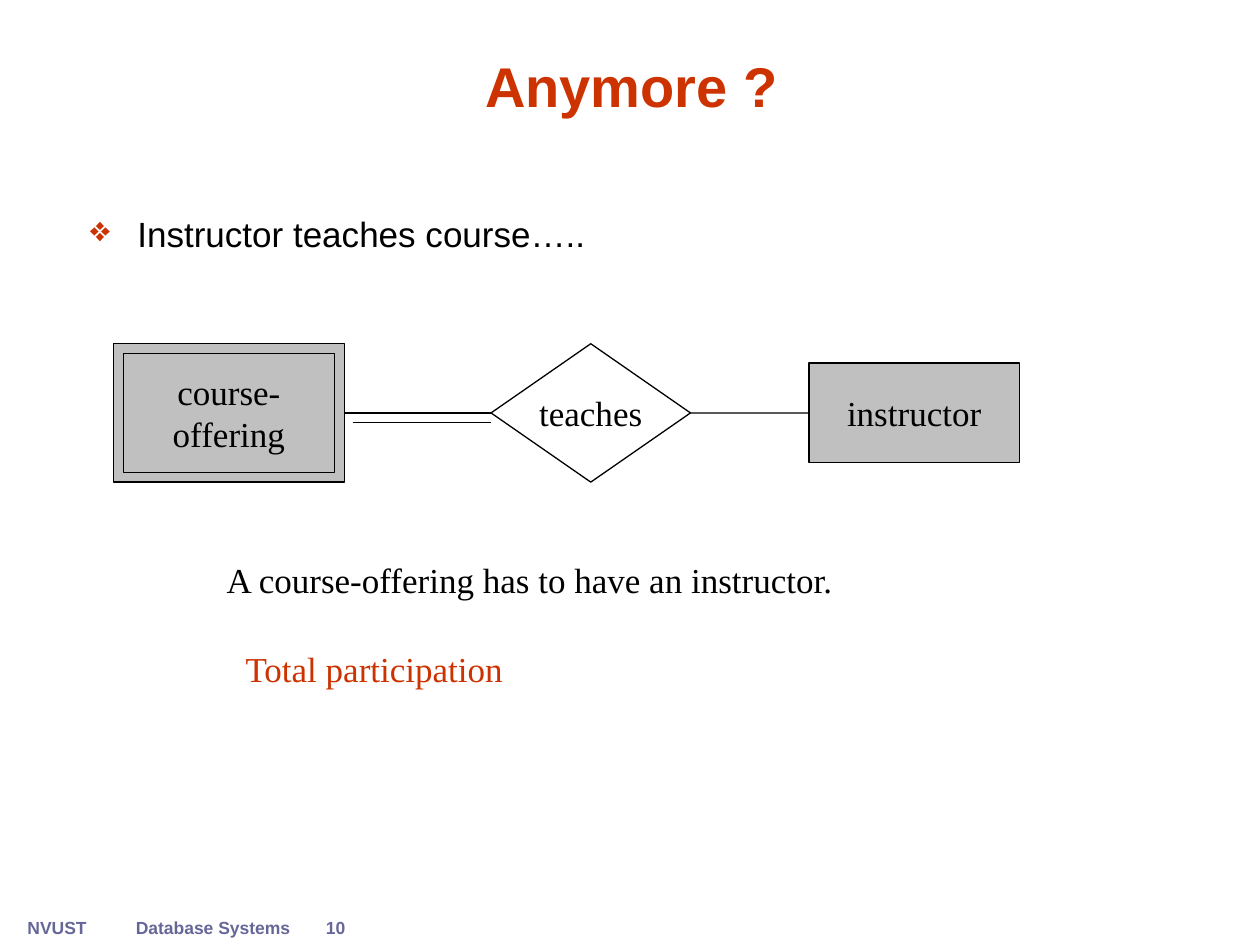
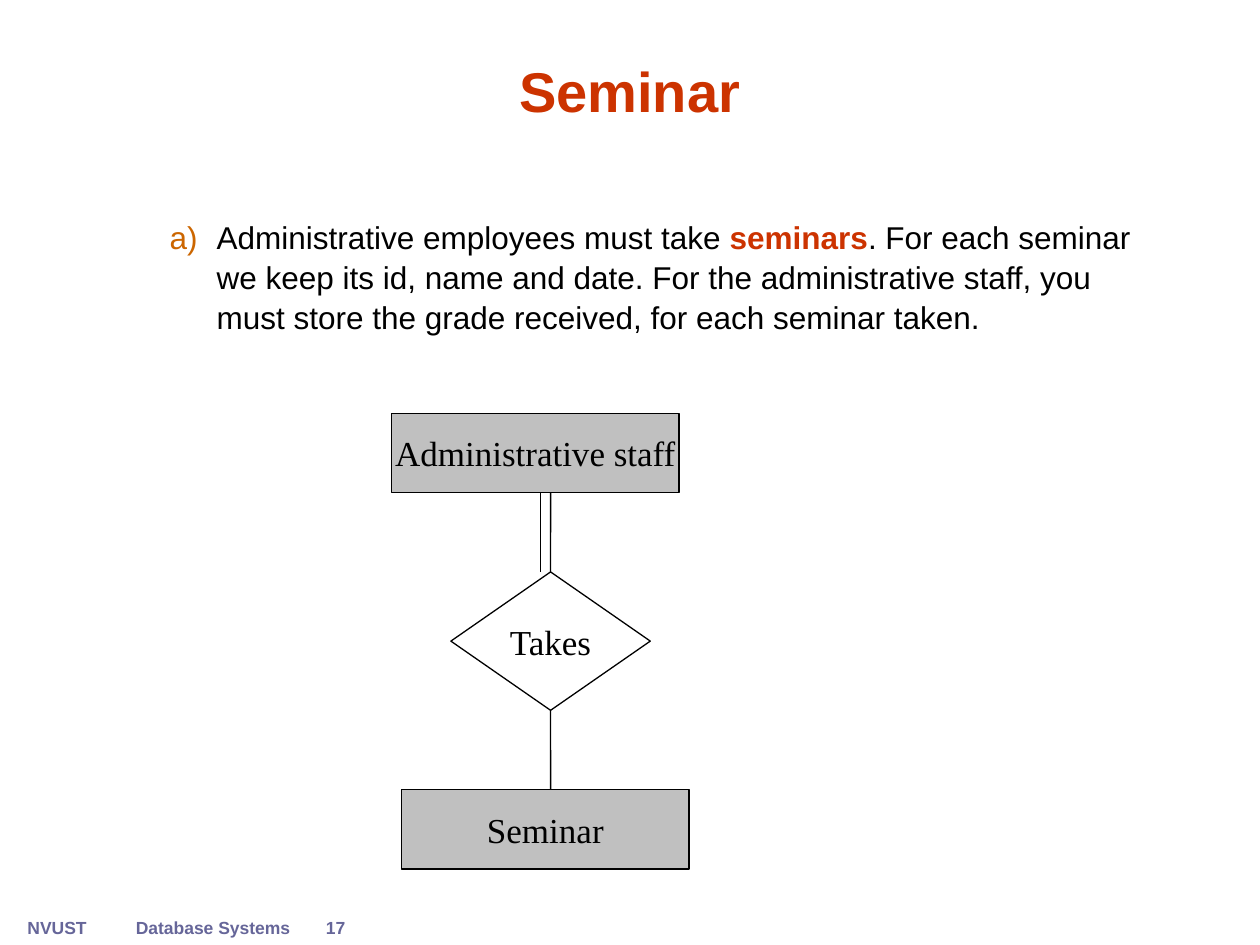
from lxml import etree
from pptx import Presentation
from pptx.dml.color import RGBColor
from pptx.enum import shapes, text
from pptx.oxml import ns
from pptx.util import Cm, Pt

RED = RGBColor(0xCC, 0x33, 0x00)
ORANGE = RGBColor(0xCC, 0x66, 0x00)
SLATE = RGBColor(0x66, 0x66, 0x99)
GREY = RGBColor(0xC0, 0xC0, 0xC0)
BLACK = RGBColor(0, 0, 0)
WHITE = RGBColor(0xFF, 0xFF, 0xFF)
SANS, SERIF = "Arial", "Times New Roman"
LEFT, CENTER = text.PP_ALIGN.LEFT, text.PP_ALIGN.CENTER
RECT = shapes.MSO_SHAPE.RECTANGLE
PROCESS = shapes.MSO_SHAPE.FLOWCHART_PROCESS
DECISION = shapes.MSO_SHAPE.FLOWCHART_DECISION
TOP_SIDE, LEFT_SIDE, BOTTOM_SIDE, RIGHT_SIDE = range(4)

LINE_WIDTH = Pt(0.75)
DIAMOND_W, DIAMOND_H = 4.02, 2.79
LINE_GAP = 0.2  # between the two lines of a total participation


def cm_box(box):
    return [Cm(length) for length in box]


def style_run(run, size, font, color, bold=False):
    run.font.size = Pt(size)
    run.font.name = font
    run.font.color.rgb = color
    run.font.bold = bold


def write(frame, words, size, font, color, bold=False, align=CENTER):
    frame.text = words
    for paragraph in frame.paragraphs:
        paragraph.alignment = align
        for run in paragraph.runs:
            style_run(run, size, font, color, bold)


def add_label(slide, box, words, size, font, color, bold=False, align=CENTER):
    label = slide.shapes.add_textbox(*cm_box(box))
    label.text_frame.word_wrap = False
    write(label.text_frame, words, size, font, color, bold, align)
    return label


def add_node(slide, kind, box, words="", fill=GREY):
    """Add an entity or a relationship of the diagram."""
    node = slide.shapes.add_shape(kind, *cm_box(box))
    node.shadow.inherit = False
    node.fill.solid()
    node.fill.fore_color.rgb = fill
    node.line.color.rgb = BLACK
    node.line.width = LINE_WIDTH
    node.text_frame.word_wrap = False
    node.text_frame.vertical_anchor = text.MSO_ANCHOR.MIDDLE
    if words:
        write(node.text_frame, words, 20, SERIF, BLACK)
    return node


def add_line(slide, x1, y1, x2, y2, begin=None, end=None):
    """Draw a line; begin and end are (node, side) pairs to join."""
    line = slide.shapes.add_connector(
        shapes.MSO_CONNECTOR.STRAIGHT, *cm_box((x1, y1, x2, y2)))
    line.line.color.rgb = BLACK
    line.line.width = LINE_WIDTH
    etree.SubElement(line._element.spPr, ns.qn("a:effectLst"))
    if begin:
        line.begin_connect(*begin)
    if end:
        line.end_connect(*end)


def add_title(slide, box, words):
    title = add_label(slide, box, words, 32, SANS, RED, bold=True)
    title.text_frame.word_wrap = True
    title.text_frame.vertical_anchor = text.MSO_ANCHOR.BOTTOM


def add_footer(slide, number, left=0.3, top=18.36):
    parts = [("NVUST", 0, 1.7, CENTER),
             ("Database Systems", 2.19, 3.61, LEFT),
             (str(number), 5.36, 2.21, CENTER)]
    for words, offset, width, align in parts:
        add_label(slide, (left + offset, top, width, 0.69), words, 10, SANS,
                  SLATE, bold=True, align=align)


def add_bullet(slide, box, pieces, size, indent, color, tag, **mark):
    """Add a bulleted paragraph; pieces are (words, is_key_term) pairs."""
    body = slide.shapes.add_textbox(*cm_box(box))
    body.text_frame.word_wrap = True
    paragraph = body.text_frame.paragraphs[0]
    paragraph.line_spacing = 1.05
    for words, is_key_term in pieces:
        run = paragraph.add_run()
        run.text = words
        style_run(run, size, SANS, RED if is_key_term else BLACK, is_key_term)
    properties = paragraph._p.get_or_add_pPr()
    properties.set("marL", str(Cm(indent)))
    properties.set("indent", str(Cm(-0.95)))
    bullet_color = etree.SubElement(properties, ns.qn("a:buClr"))
    etree.SubElement(bullet_color, ns.qn("a:srgbClr"), val=str(color))
    etree.SubElement(properties, ns.qn(tag), **mark)


def add_teaching_diagram(slide, left, top):
    """Weak entity, relationship and entity in a row."""
    middle = top + DIAMOND_H / 2
    offering_w, entity_w, entity_h, rim = 4.65, 4.24, 2.01, 0.2
    teaches_x, instructor_x = left + 7.61, left + 14.02
    offering = add_node(slide, RECT, (left, top, offering_w, DIAMOND_H))
    instructor = add_node(
        slide, PROCESS,
        (instructor_x, middle - entity_h / 2, entity_w, entity_h), "instructor")
    teaches = add_node(slide, DECISION, (teaches_x, top, DIAMOND_W, DIAMOND_H),
                       "teaches", WHITE)
    add_line(slide, left + offering_w, middle, teaches_x, middle,
             (offering, RIGHT_SIDE), (teaches, LEFT_SIDE))
    add_line(slide, teaches_x + DIAMOND_W, middle, instructor_x, middle,
             (teaches, RIGHT_SIDE), (instructor, LEFT_SIDE))
    add_node(slide, RECT,
             (left + rim, top + rim, offering_w - 2 * rim, DIAMOND_H - 2 * rim),
             "course-\voffering")
    second_y = middle + LINE_GAP
    add_line(slide, left + 4.82, second_y, teaches_x, second_y)


def add_seminar_diagram(slide, left, top):
    """Two entities with the relationship between them, in a column."""
    entity_w, entity_h, gap = 5.79, 1.6, 1.6
    axis = left + 3.2
    staff_bottom = top + entity_h
    takes_top = staff_bottom + gap
    takes_bottom = takes_top + DIAMOND_H
    seminar_top = takes_bottom + gap
    add_node(slide, RECT, (left, top, entity_w, entity_h),
             "Administrative staff")
    takes = add_node(slide, DECISION,
                     (axis - DIAMOND_W / 2, takes_top, DIAMOND_W, DIAMOND_H),
                     "Takes", WHITE)
    add_node(slide, RECT, (left + 0.2, seminar_top, entity_w, entity_h),
             "Seminar")
    second_x = axis - LINE_GAP
    add_line(slide, second_x, staff_bottom, second_x, takes_top)
    add_line(slide, axis, staff_bottom, axis, takes_top, end=(takes, TOP_SIDE))
    add_line(slide, axis, takes_bottom, axis, seminar_top,
             begin=(takes, BOTTOM_SIDE))


def build_teaching_slide(slide):
    add_footer(slide, 10)
    add_title(slide, (1.52, 0.18, 22.43, 2.34), "Anymore ?")
    add_bullet(slide, (1.57, 4.11, 21.8, 12.52),
               [("Instructor teaches course…..", False)],
               20, 0.95, RED, "a:buChar", char="❖")
    add_teaching_diagram(slide, 2.29, 6.93)
    add_label(slide, (4.32, 11.13, 12.98, 1.12),
              "A course-offering has to have an instructor.",
              20, SERIF, BLACK, align=LEFT)
    add_label(slide, (4.7, 12.93, 5.74, 1.12), "Total participation",
              20, SERIF, RED, align=LEFT)


def build_seminar_slide(slide):
    add_footer(slide, 17)
    add_title(slide, (1.9, 0.13, 21.59, 2.49), "Seminar")
    add_bullet(slide, (1.9, 4.24, 21.59, 4.09),
               [("Administrative employees must take ", False),
                ("seminars", True),
                (". For each seminar we keep its id, name and date. For the "
                 "administrative staff, you must store the grade received, "
                 "for each seminar taken.", False)],
               18, 2.22, ORANGE, "a:buAutoNum", type="alphaLcParenR")
    add_seminar_diagram(slide, 7.9, 8.33)


def main():
    deck = Presentation()
    deck.slide_width, deck.slide_height = Cm(25.4), Cm(19.05)
    blank = deck.slide_layouts[6]
    for build in (build_teaching_slide, build_seminar_slide):
        build(deck.slides.add_slide(blank))
    deck.save("out.pptx")


if __name__ == "__main__":
    main()
